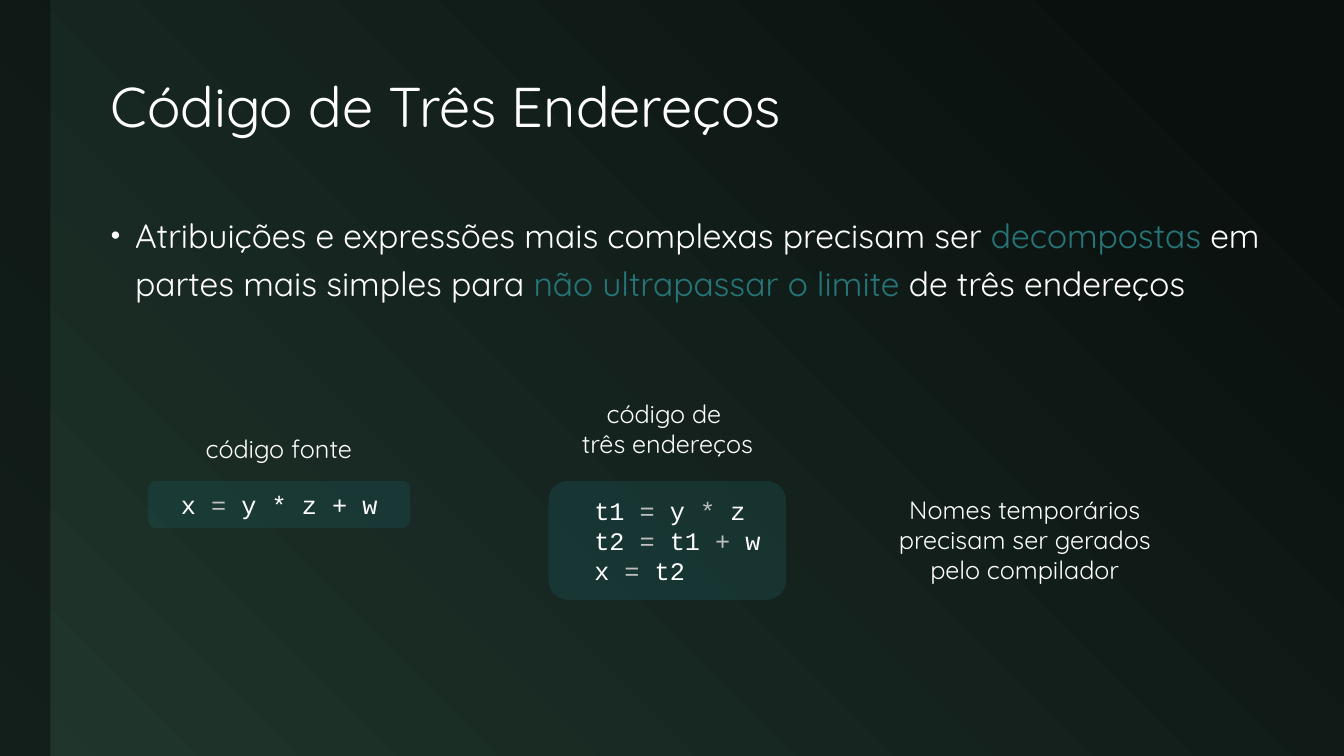
from pptx import Presentation
from pptx.dml.color import RGBColor
from pptx.enum.shapes import MSO_SHAPE
from pptx.enum.text import MSO_ANCHOR, MSO_AUTO_SIZE, PP_ALIGN
from pptx.oxml.ns import qn
from pptx.util import Inches, Pt
from lxml.etree import SubElement

WHITE, GRAY, TEAL = "FFFFFF", "BFBFBF", "267577"
DARK, GREEN, PANEL = "0A100E", "20362D", "1A4E4F"
SANS, MONO = "Quicksand", "Courier New"


def rgb(color):
    return RGBColor.from_string(color)


class Deck:
    """Style and current slide; boxes are (left, top, width, height) in % of the slide."""

    def __init__(self):
        self.prs = Presentation()
        self.prs.slide_width, self.prs.slide_height = Inches(13.333), Inches(7.5)
        self.s = self.prs.slides.add_slide(self.prs.slide_layouts[1])

    def place(self, box):
        w, h = self.prs.slide_width, self.prs.slide_height
        return [int(share * side / 100) for share, side in zip(box, (w, h, w, h))]

    def background(self, start, end):
        fill = self.s.background.fill
        fill.gradient()
        fill.gradient_angle = 225
        for stop, color, pos in zip(fill.gradient_stops, (start, end), (0.1, 1)):
            stop.color.rgb = rgb(color)
            stop.position = pos

    def add_runs(self, p, runs, size, font=SANS, align=PP_ALIGN.CENTER):
        """Add (text, colour) runs; a newline in a text becomes a line break."""
        p.alignment = align
        for text, color in runs:
            for i, line in enumerate(text.split("\n")):
                if i:
                    p.add_line_break()
                r = p.add_run()
                r.text = line
                r.font.size, r.font.name = Pt(size), font
                r.font.color.rgb = rgb(color)

    def placeholder(self, idx, box, anchor, runs, size, spacing):
        sp = self.s.placeholders[idx]
        sp.left, sp.top, sp.width, sp.height = self.place(box)
        tf = sp.text_frame
        tf.auto_size, tf.vertical_anchor = MSO_AUTO_SIZE.NONE, anchor
        p = tf.paragraphs[0]
        self.add_runs(p, runs, size, align=PP_ALIGN.LEFT)
        p.line_spacing = spacing
        return p

    def title(self, box, text):
        self.placeholder(0, box, MSO_ANCHOR.MIDDLE, [(text, WHITE)], 40, 0.9)

    def bullet(self, box, runs):
        p = self.placeholder(1, box, MSO_ANCHOR.TOP, runs, 24, 1.2)
        p.space_before = Pt(18)
        pPr = p._p.get_or_add_pPr()
        pPr.set("marL", str(Inches(0.24)))
        pPr.set("indent", str(-Inches(0.24)))
        SubElement(pPr, qn("a:buSzPct"), val="80000")
        SubElement(pPr, qn("a:buFont"), typeface="Arial")
        SubElement(pPr, qn("a:buChar"), char="•")

    def label(self, box, text, wrap=True):
        tf = self.s.shapes.add_textbox(*self.place(box)).text_frame
        tf.word_wrap, tf.auto_size = wrap, MSO_AUTO_SIZE.SHAPE_TO_FIT_TEXT
        self.add_runs(tf.paragraphs[0], [(text, WHITE)], 18)

    def panel(self, kind, box, color, opacity):
        sp = self.s.shapes.add_shape(kind, *self.place(box))
        sp.shadow.inherit = False
        sp.line.fill.background()
        sp.fill.solid()
        sp.fill.fore_color.rgb = rgb(color)
        clr = sp._element.spPr.find(qn("a:solidFill"))[0]
        SubElement(clr, qn("a:alpha"), val=str(opacity * 1000))
        return sp

    def code(self, box, lines, align=PP_ALIGN.LEFT, indent=0):
        tf = self.panel(MSO_SHAPE.ROUNDED_RECTANGLE, box, PANEL, 40).text_frame
        tf.word_wrap, tf.vertical_anchor = True, MSO_ANCHOR.MIDDLE
        for i, runs in enumerate(lines):
            p = tf.add_paragraph() if i else tf.paragraphs[0]
            self.add_runs(p, runs, 18, MONO, align)
            p._p.get_or_add_pPr().set("marL", str(Inches(indent)))


def main():
    deck = Deck()
    deck.background(DARK, GREEN)
    deck.panel(MSO_SHAPE.RECTANGLE, (0, 0, 3.75, 100), DARK, 60)
    deck.title((7.5, 5.6, 87.38, 17.73), "Código de Três Endereços")
    deck.bullet((7.5, 26.67, 87.38, 64.4), [
        ("Atribuições e expressões mais complexas precisam ser ", WHITE),
        ("decompostas ", TEAL),
        ("em partes mais simples para ", WHITE),
        ("não ultrapassar o limite", TEAL),
        (" de três endereços", WHITE),
    ])

    deck.label((12.83, 56.67, 15.83, 5.33), "código fonte")
    deck.label((42.08, 52, 15.15, 9.47), "código de \ntrês endereços", wrap=False)
    deck.label((65.33, 64.67, 21.83, 13.47),
               "Nomes temporários precisam ser gerados pelo compilador")

    code_top = 63.6
    deck.code((40.8, code_top, 17.7, 15.73), [
        [("t1 ", WHITE), ("=", GRAY), (" y ", WHITE), ("*", GRAY), (" z", WHITE)],
        [("t2 ", WHITE), ("= ", GRAY), ("t1 ", WHITE), ("+", GRAY), (" w", WHITE)],
        [("x ", WHITE), ("= ", GRAY), ("t2", WHITE)],
    ], indent=0.3)
    deck.code((11.03, code_top, 19.5, 6.27),
              [[("x ", WHITE), ("=", GRAY), (" y * z + w", WHITE)]], PP_ALIGN.CENTER)
    deck.prs.save("out.pptx")


if __name__ == "__main__":
    main()
